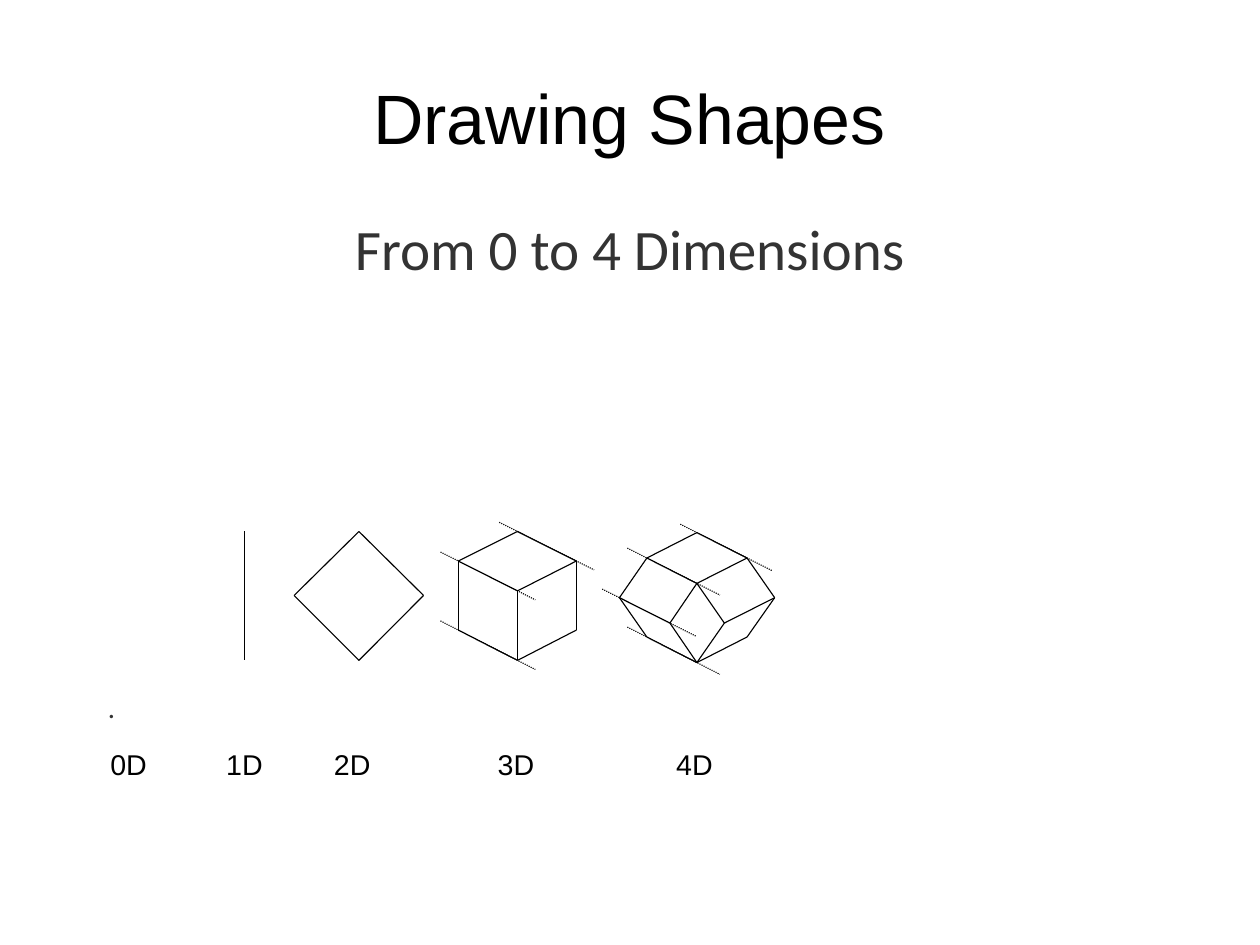
from pptx import Presentation
from pptx.dml.color import RGBColor
from pptx.enum.dml import MSO_LINE
from pptx.enum.shapes import MSO_CONNECTOR
from pptx.enum.text import MSO_ANCHOR, PP_ALIGN
from pptx.oxml.ns import qn
from pptx.util import Pt
from lxml.etree import SubElement

# Content: left, top, width, height of the two text areas
TITLE_BOX = (39.6, 23.8, 714.2, 99.4)
BODY_BOX = (39.6, 139, 714.2, 393)
TITLE = "Drawing Shapes"
SUBTITLE = "From 0 to 4 Dimensions"
POINT = {".": 28.4}  # text: tab position inside the body
LABELS = {"0D": 29.9, "1D": 102.9, "2D": 170.8, "3D": 273.9, "4D": 386.3}

# Figures: named corners, edges between them, and edges extended as dotted
# guides with the share of the edge added before its start and after its end
FIGURES = [
    {"corners": {"top": (154.3, 334.6), "bottom": (154.3, 416)},
     "edges": ["top bottom"], "guides": {}},
    {"corners": {"top": (226.1, 334.8), "left": (185.3, 375.1),
                 "right": (266.8, 375.1), "bottom": (226.1, 416)},
     "edges": ["top left", "left bottom", "bottom right", "right top"],
     "guides": {}},
    {"corners": {"top": (326, 334.8), "left": (288.7, 353.4),
                 "right": (363.1, 353.4), "mid": (326, 372.2),
                 "low_left": (288.7, 396.9), "low_right": (363.1, 396.9),
                 "bottom": (326, 416)},
     "edges": ["top left", "top right", "left mid", "right mid",
               "left low_left", "mid bottom", "right low_right",
               "low_left bottom", "low_right bottom"],
     "guides": {"top right": (0.31, 0.3), "left mid": (0.3, 0.3),
                "low_left bottom": (0.3, 0.3)}},
    {"corners": {"top": (439, 335.5), "up_left": (407.5, 351.5),
                 "up_right": (470.6, 351.5), "mid": (439, 367.5),
                 "left": (390.2, 376.5), "right": (488, 376.5),
                 "in_left": (422, 392.5), "in_right": (456.3, 392.5),
                 "low_left": (407.5, 401.3), "low_right": (470.6, 401.3),
                 "bottom": (439, 417.4)},
     "edges": ["top up_left", "top up_right", "up_left mid", "up_right mid",
               "up_left left", "up_right right", "mid in_left", "mid in_right",
               "left in_left", "right in_right", "left low_left",
               "right low_right", "in_left bottom", "in_right bottom",
               "low_left bottom", "low_right bottom"],
     "guides": {"top up_right": (0.33, 0.51), "up_left mid": (0.39, 0.46),
                "left in_left": (0.34, 0.52),
                "low_left bottom": (0.39, 0.46)}},
]

THEME = {
    "line": RGBColor(0, 0, 0),
    "line_width": 0.71,
    "space_after": 14.1,
    "point_space": 244.8,
    # font, size, colour, alignment, line spacing
    "title": ("Arial", 44, RGBColor(0, 0, 0), PP_ALIGN.CENTER, 1),
    "subtitle": ("Calibri", 36, RGBColor(0x33, 0x33, 0x33), PP_ALIGN.CENTER, 0.9),
    "point": ("Calibri", 18, RGBColor(0x33, 0x33, 0x33), PP_ALIGN.LEFT, 0.9),
    "label": ("Arial", 18, RGBColor(0, 0, 0), PP_ALIGN.LEFT, 1),
}


def add_frame(s, box, anchor):
    tf = s.shapes.add_textbox(*map(Pt, box)).text_frame
    tf.margin_left = tf.margin_right = tf.margin_top = tf.margin_bottom = 0
    tf.word_wrap = True
    tf.vertical_anchor = anchor
    return tf


def fill_paragraph(p, text, style):
    font, size, color, align, spacing = THEME[style]
    p.text = text
    p.alignment = align
    p.line_spacing = spacing
    for r in p.runs:
        r.font.name, r.font.size, r.font.color.rgb = font, Pt(size), color


def fill_tabbed(p, stops, style):
    fill_paragraph(p, "".join("\t" + text for text in stops), style)
    p.space_after = Pt(THEME["space_after"])
    tabs = SubElement(p._p.get_or_add_pPr(), qn("a:tabLst"))
    for pos in stops.values():
        SubElement(tabs, qn("a:tab"), pos=str(int(Pt(pos))), algn="l")


def add_line(s, start, end, dotted=False):
    ln = s.shapes.add_connector(MSO_CONNECTOR.STRAIGHT, *map(Pt, (*start, *end)))
    ln.line.color.rgb = THEME["line"]
    ln.line.width = Pt(THEME["line_width"])
    if dotted:
        ln.line.dash_style = MSO_LINE.ROUND_DOT
    SubElement(ln._element.spPr, qn("a:effectLst"))


def extend(start, end, before, after):
    (x1, y1), (x2, y2) = start, end
    dx, dy = x2 - x1, y2 - y1
    return ((x1 - before * dx, y1 - before * dy),
            (x2 + after * dx, y2 + after * dy))


def main():
    prs = Presentation()
    prs.slide_width, prs.slide_height = Pt(793.7), Pt(595.28)
    s = prs.slides.add_slide(prs.slide_layouts[6])

    # Title
    tf = add_frame(s, TITLE_BOX, MSO_ANCHOR.MIDDLE)
    fill_paragraph(tf.paragraphs[0], TITLE, "title")

    # Subtitle, the point and the dimension labels
    tf = add_frame(s, BODY_BOX, MSO_ANCHOR.TOP)
    p = tf.paragraphs[0]
    fill_paragraph(p, SUBTITLE, "subtitle")
    p.space_after = Pt(THEME["space_after"])
    p = tf.add_paragraph()
    p.space_before = Pt(THEME["point_space"])
    fill_tabbed(p, POINT, "point")
    fill_tabbed(tf.add_paragraph(), LABELS, "label")

    # Figures with their guides
    for figure in FIGURES:
        corners = figure["corners"]
        for edge in figure["edges"]:
            add_line(s, *(corners[name] for name in edge.split()))
        for guide, reach in figure["guides"].items():
            start, end = (corners[name] for name in guide.split())
            add_line(s, *extend(start, end, *reach), dotted=True)

    prs.save("out.pptx")


if __name__ == "__main__":
    main()
